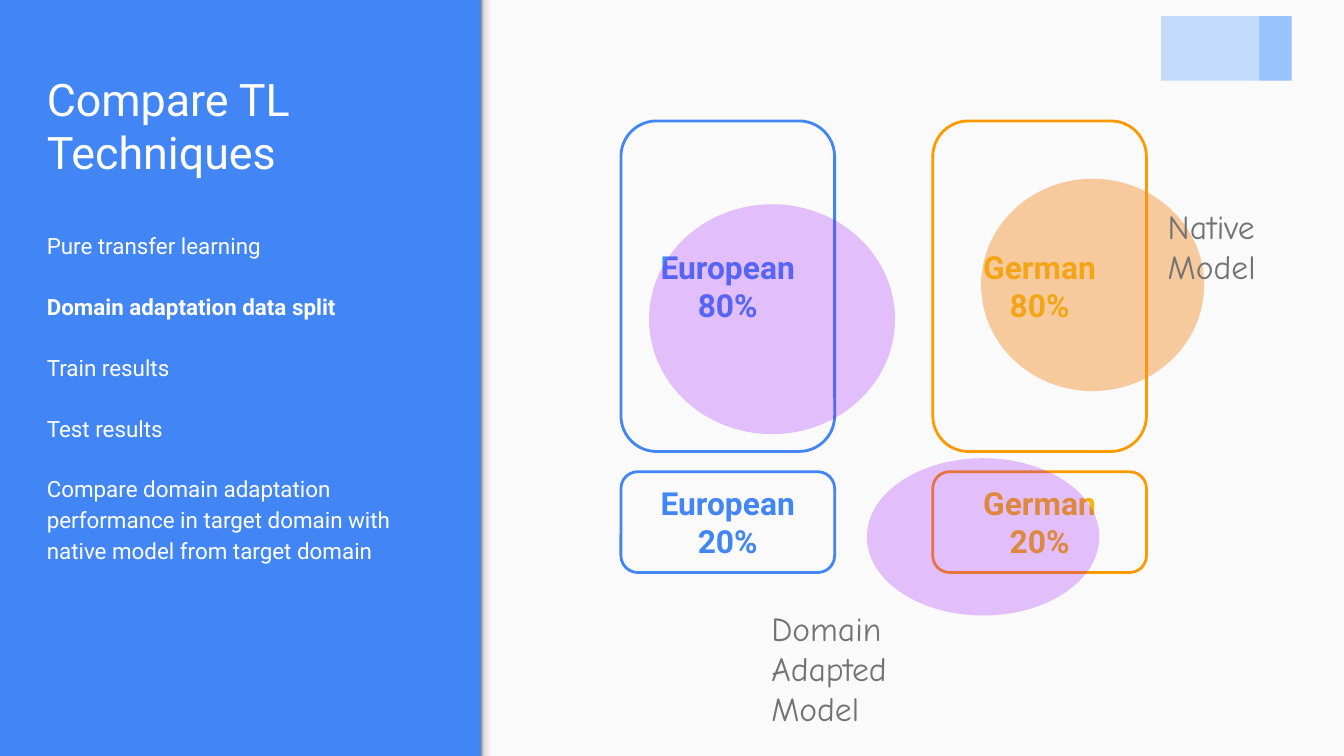
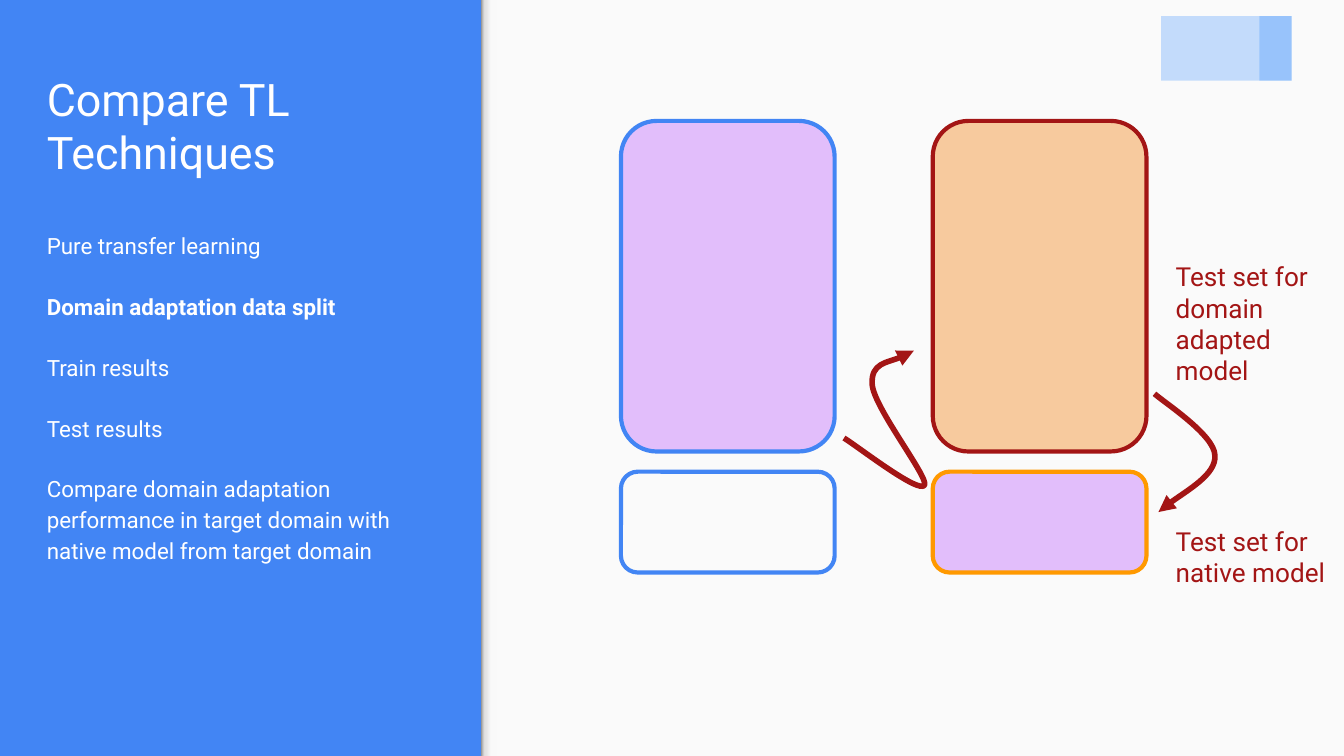
"""Build two slides on how the data is split for domain adaptation."""
import lxml.etree
import pptx
import pptx.dml.color
import pptx.enum.shapes
import pptx.enum.text
import pptx.oxml
import pptx.oxml.ns
import pptx.util

Inches = pptx.util.Inches
Pt = pptx.util.Pt
SHAPE = pptx.enum.shapes.MSO_SHAPE
ANCHOR = pptx.enum.text.MSO_ANCHOR
ALIGN = pptx.enum.text.PP_ALIGN
qn = pptx.oxml.ns.qn

BLUE, ORANGE, YELLOW, RED = "4285F4", "FF9900", "F4B400", "A31515"
WHITE, PAPER, GREY = "FFFFFF", "FAFAFA", "737373"
ADAPTED = ("9900FF", 24)
NATIVE = ("F49333", 46)
BADGE = ("0071FF", 22)
SHADE_STOPS = [(0, "F9F9F9"), (36, "F9F9F9"), (80, "DEDEDE"), (100, "999999")]
SLIDE_WIDTH = 10
SLIDE_HEIGHT = SLIDE_WIDTH * 9 / 16
SIDEBAR_WIDTH = 3.58
SHADE_WIDTH = 0.12

TITLE = "Compare TL Techniques"
TOPICS = [
    "Pure transfer learning",
    "Domain adaptation data split",
    "Train results",
    "Test results",
    "Compare domain adaptation performance in target domain with native model from target domain",
]
CURRENT_TOPIC = TOPICS[1]

COLUMNS = {"European": 4.62, "German": 6.94}
ROWS = {"80%": (0.9, 2.46), "20%": (3.51, 0.75)}
COLUMN_WIDTH = 1.59
SPLIT_COLOURS = {"European": (BLUE, BLUE), "German": (ORANGE, YELLOW)}

MODEL_PARTS = [
    ("ellipse", (7.3, 1.33, 1.66, 1.58), NATIVE),
    ("label", (8.59, 1.43, 1.32, 0.73), "Native Model"),
    ("ellipse", (6.45, 3.41, 1.73, 1.17), ADAPTED),
    ("ellipse", (4.83, 1.52, 1.83, 1.71), ADAPTED),
    ("label", (5.64, 4.42, 1.59, 0.73), "Domain Adapted Model"),
]

TEST_BOXES = {
    ("European", "80%"): (BLUE, ADAPTED),
    ("European", "20%"): (BLUE, None),
    ("German", "80%"): (RED, NATIVE),
    ("German", "20%"): (ORANGE, ADAPTED),
}
TEST_LABELS = [
    ((8.65, 1.84, 1.34, 1.14), "Test set for domain adapted model"),
    ((8.65, 3.81, 1.34, 0.67), "Test set for native model"),
]
TEST_ARROWS = [
    [(6.28, 3.26), (6.38, 3.32), (6.84, 3.68), (6.88, 3.61), (6.91, 3.55),
     (6.5, 3.03), (6.49, 2.86), (6.48, 2.7), (6.75, 2.66), (6.8, 2.61)],
    [(8.59, 2.93), (8.67, 3), (9.04, 3.24), (9.04, 3.39),
     (9.05, 3.53), (8.69, 3.74), (8.62, 3.81)],
]


def rgb(colour):
    return pptx.dml.color.RGBColor.from_string(colour)


def paint(shape, fill=None, line=None, weight=1.5):
    shape.shadow.inherit = False
    if fill:
        colour, opacity = fill
        shape.fill.solid()
        shape.fill.fore_color.rgb = rgb(colour)
        if opacity < 100:
            tint = shape._element.spPr.find(f".//{qn('a:srgbClr')}")
            lxml.etree.SubElement(tint, qn("a:alpha")).set("val", str(opacity * 1000))
    else:
        shape.fill.background()
    if line:
        shape.line.color.rgb = rgb(line)
        shape.line.width = Pt(weight)
    else:
        shape.line.fill.background()


def add_shape(slide, kind, place, **look):
    shape = slide.shapes.add_shape(kind, *map(Inches, place))
    paint(shape, **look)
    return shape


def write(shape, paragraphs, size, colour, font="Roboto", bold=False,
          anchor=ANCHOR.TOP, align=ALIGN.LEFT):
    frame = shape.text_frame
    frame.word_wrap = True
    frame.vertical_anchor = anchor
    frame.margin_left = frame.margin_right = Inches(0.1)
    frame.margin_top = frame.margin_bottom = Inches(0.1)
    frame.text = "\n".join(paragraphs)
    for paragraph in frame.paragraphs:
        paragraph.alignment = align
        for run in paragraph.runs:
            run.font.name = font
            run.font.size = Pt(size)
            run.font.bold = bold
            run.font.color.rgb = rgb(colour)
    return frame


def add_text(slide, place, paragraphs, size, colour, **style):
    box = slide.shapes.add_textbox(*map(Inches, place))
    return write(box, paragraphs, size, colour, **style)


def add_shade(slide):
    middle = SIDEBAR_WIDTH + SHADE_WIDTH / 2
    place = (middle - SLIDE_HEIGHT / 2, (SLIDE_HEIGHT - SHADE_WIDTH) / 2,
             SLIDE_HEIGHT, SHADE_WIDTH)
    shade = add_shape(slide, SHAPE.RECTANGLE, place)
    shade.rotation = 270
    stops = "".join(f'<a:gs pos="{position * 1000}"><a:srgbClr val="{colour}"/></a:gs>'
                    for position, colour in SHADE_STOPS)
    gradient = pptx.oxml.parse_xml(
        f'<a:gradFill {pptx.oxml.ns.nsdecls("a")} rotWithShape="1">'
        f'<a:gsLst>{stops}</a:gsLst><a:lin ang="16200000" scaled="0"/></a:gradFill>')
    properties = shade._element.spPr
    properties.replace(properties.find(qn("a:noFill")), gradient)


def add_base_slide(presentation):
    slide = presentation.slides.add_slide(presentation.slide_layouts[6])
    slide.background.fill.solid()
    slide.background.fill.fore_color.rgb = rgb(BLUE)
    panel = (SIDEBAR_WIDTH, 0, SLIDE_WIDTH - SIDEBAR_WIDTH, SLIDE_HEIGHT)
    add_shape(slide, SHAPE.RECTANGLE, panel, fill=(PAPER, 100))
    add_shade(slide)
    add_text(slide, (0.25, 0.39, 3.07, 1.04), [TITLE], 24, WHITE, anchor=ANCHOR.BOTTOM)
    topics = add_text(slide, (0.25, 1.6, 3.07, 3.46), TOPICS, 12, WHITE)
    for index, paragraph in enumerate(topics.paragraphs):
        paragraph.line_spacing = 1.15
        paragraph.space_before = Pt(16 if index else 0)
        paragraph.runs[0].font.bold = paragraph.text == CURRENT_TOPIC
    return slide


def add_badge(slide):
    for left, width in [(9.37, 0.24), (8.64, 0.97)]:
        add_shape(slide, SHAPE.RECTANGLE, (left, 0.12, width, 0.48), fill=BADGE)


def add_split_box(slide, domain, share, **look):
    top, height = ROWS[share]
    place = (COLUMNS[domain], top, COLUMN_WIDTH, height)
    return add_shape(slide, SHAPE.ROUNDED_RECTANGLE, place, **look)


def add_curved_arrow(slide, points):
    start, *others = [(Inches(x), Inches(y)) for x, y in points]
    builder = slide.shapes.build_freeform(*start)
    builder.add_line_segments(others, close=False)
    arrow = builder.convert_to_shape()
    paint(arrow, line=RED, weight=3)
    outline = arrow._element.spPr.find(f".//{qn('a:path')}")
    segments = outline.findall(qn("a:lnTo"))
    for first in range(0, len(segments), 3):
        curve = lxml.etree.SubElement(outline, qn("a:cubicBezTo"))
        for segment in segments[first:first + 3]:
            curve.append(segment[0])
            outline.remove(segment)
    head = lxml.etree.SubElement(arrow.line._get_or_add_ln(), qn("a:tailEnd"))
    head.set("type", "triangle")


def add_split_slide(presentation):
    slide = add_base_slide(presentation)
    for domain, (line, colour) in SPLIT_COLOURS.items():
        for share in ROWS:
            box = add_split_box(slide, domain, share, line=line)
            write(box, [f"{domain} {share}"], 17, colour, bold=True,
                  anchor=ANCHOR.MIDDLE, align=ALIGN.CENTER)
    for kind, place, content in MODEL_PARTS:
        if kind == "ellipse":
            add_shape(slide, SHAPE.OVAL, place, fill=content)
        else:
            add_text(slide, place, [content], 18, GREY, font="Comic Neue")
    add_badge(slide)


def add_test_slide(presentation):
    slide = add_base_slide(presentation)
    for (domain, share), (line, fill) in TEST_BOXES.items():
        add_split_box(slide, domain, share, fill=fill, line=line, weight=2.25)
    for place, label in TEST_LABELS:
        frame = add_text(slide, place, [label], 14, RED)
        frame.auto_size = pptx.enum.text.MSO_AUTO_SIZE.SHAPE_TO_FIT_TEXT
    for points in TEST_ARROWS:
        add_curved_arrow(slide, points)
    add_badge(slide)


def main():
    presentation = pptx.Presentation()
    presentation.slide_width = Inches(SLIDE_WIDTH)
    presentation.slide_height = Inches(SLIDE_HEIGHT)
    add_split_slide(presentation)
    add_test_slide(presentation)
    presentation.save("out.pptx")


if __name__ == "__main__":
    main()
